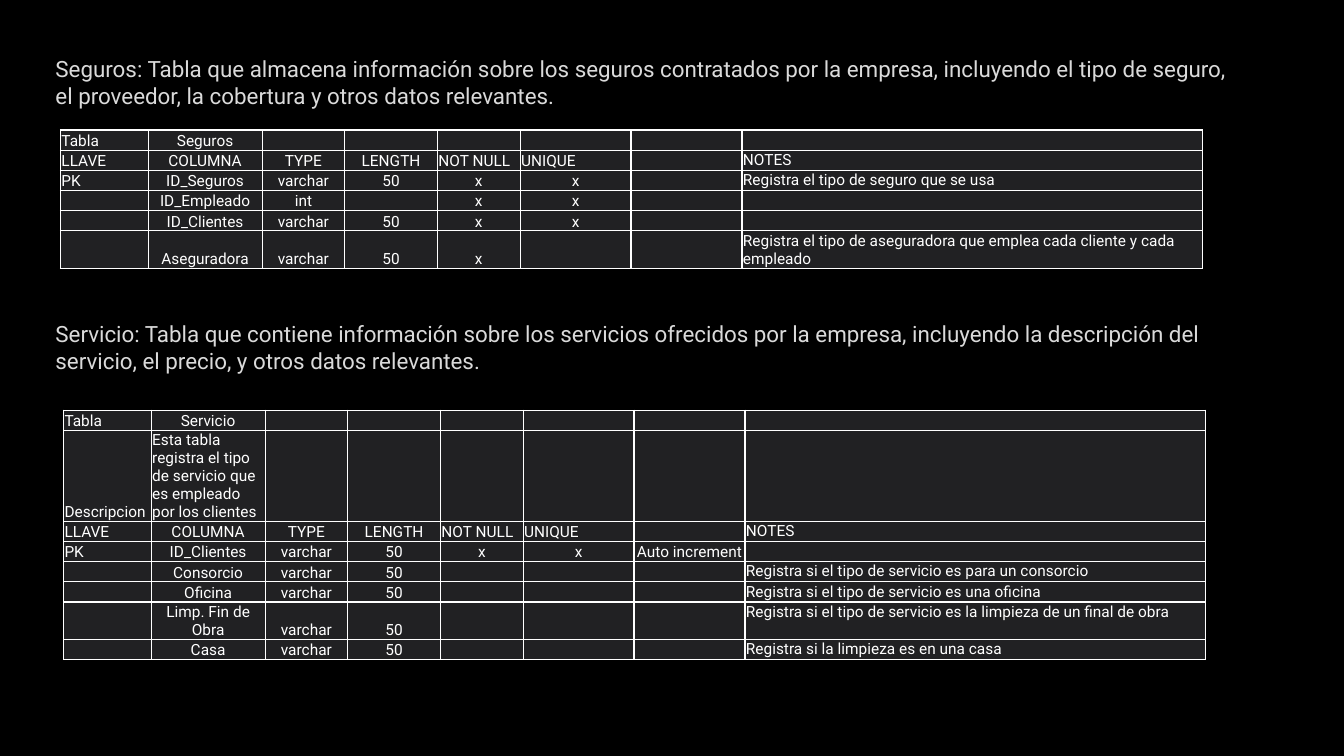
"""Build the slide describing the Seguros and Servicio database tables."""
import dataclasses

import lxml.etree
import pptx
import pptx.dml.color
import pptx.enum.text
import pptx.oxml.ns
import pptx.util

Inches = pptx.util.Inches
Pt = pptx.util.Pt
ALIGN = pptx.enum.text.PP_ALIGN
ANCHOR = pptx.enum.text.MSO_ANCHOR

COLORS = {"background": "000000", "cell": "212123", "grid": "FFFFFF",
          "data": "FFFFFF", "description": "DADADA"}
FONT = "Roboto"
DATA_SIZE = 11
COLUMN_WIDTHS = [0.87, 1.13, 0.82, 0.92, 0.82, 1.1, 1.1, 4.57]
KEY_COLUMN, NOTES_COLUMN = 0, 7
HEADINGS = ["LLAVE", "COLUMNA", "TYPE", "LENGTH", "NOT NULL", "UNIQUE", "", "NOTES"]
LEFT_HEADINGS = ("NOT NULL", "UNIQUE")
SERVICE_PURPOSE = "Esta tabla registra el tipo de servicio que es empleado por los clientes"


@dataclasses.dataclass
class Entity:
    """A database table with its description and its place on the slide."""
    description: str
    space_before: float
    left: float
    top: float
    row_heights: list[float]
    rows: list[list[str]]


ENTITIES = [
    Entity(
        "Seguros: Tabla que almacena información sobre los seguros contratados por la "
        "empresa, incluyendo el tipo de seguro, el proveedor, la cobertura y otros datos "
        "relevantes.",
        2, 0.6, 1.29, [0.2] * 5 + [0.37],
        [
            ["Tabla", "Seguros"],
            HEADINGS,
            ["PK", "ID_Seguros", "varchar", "50", "x", "x", "",
             "Registra el tipo de seguro que se usa"],
            ["", "ID_Empleado", "int", "", "x", "x"],
            ["", "ID_Clientes", "varchar", "50", "x", "x"],
            ["", "Aseguradora", "varchar", "50", "x", "", "",
             "Registra el tipo de aseguradora que emplea cada cliente y cada empleado"],
        ]),
    Entity(
        "Servicio: Tabla que contiene información sobre los servicios ofrecidos por la "
        "empresa, incluyendo la descripción del servicio, el precio, y otros datos "
        "relevantes.",
        151, 0.63, 4.07, [0.2, 0.9] + [0.2] * 4 + [0.37, 0.2],
        [
            ["Tabla", "Servicio"],
            ["Descripcion", SERVICE_PURPOSE],
            HEADINGS,
            ["PK", "ID_Clientes", "varchar", "50", "x", "x", "Auto increment"],
            ["", "Consorcio", "varchar", "50", "", "", "",
             "Registra si el tipo de servicio es para un consorcio"],
            ["", "Oficina", "varchar", "50", "", "", "",
             "Registra si el tipo de servicio es una oficina"],
            ["", "Limp. Fin de Obra", "varchar", "50", "", "", "",
             "Registra si el tipo de servicio es la limpieza de un final de obra"],
            ["", "Casa", "varchar", "50", "", "", "",
             "Registra si la limpieza es en una casa"],
        ]),
]


def color(name: str) -> pptx.dml.color.RGBColor:
    """Return the named colour."""
    return pptx.dml.color.RGBColor.from_string(COLORS[name])


def add_run(paragraph, text: str, size: float, color_name: str) -> None:
    """Append a formatted run to the paragraph."""
    run = paragraph.add_run()
    run.text = text
    run.font.name = FONT
    run.font.size = Pt(size)
    run.font.color.rgb = color(color_name)


def add_borders(cell) -> None:
    """Draw the grid line on all four sides of the cell."""
    properties = cell._tc.get_or_add_tcPr()
    qn = pptx.oxml.ns.qn
    for position, side in enumerate(("a:lnL", "a:lnR", "a:lnT", "a:lnB")):
        line = lxml.etree.Element(qn(side), w=str(Pt(1)))
        fill = lxml.etree.SubElement(line, qn("a:solidFill"))
        lxml.etree.SubElement(fill, qn("a:srgbClr"), val=COLORS["grid"])
        properties.insert(position, line)


def fill_cell(cell, text: str, column: int) -> None:
    """Write and format one table cell."""
    cell.margin_left = cell.margin_right = cell.margin_top = Inches(0.01)
    cell.margin_bottom = 0
    cell.fill.solid()
    cell.fill.fore_color.rgb = color("cell")
    add_borders(cell)
    is_prose = column == NOTES_COLUMN or text == SERVICE_PURPOSE
    cell.vertical_anchor = ANCHOR.TOP if is_prose else ANCHOR.BOTTOM
    paragraph = cell.text_frame.paragraphs[0]
    is_left = is_prose or column == KEY_COLUMN or text in LEFT_HEADINGS
    paragraph.alignment = ALIGN.LEFT if is_left else ALIGN.CENTER
    if text:
        add_run(paragraph, text, DATA_SIZE, "data")
    else:
        paragraph._p.get_or_add_endParaRPr().set("sz", str(DATA_SIZE * 100))


def add_entity_table(slide, entity: Entity) -> None:
    """Add the grid of fields of one entity."""
    table = slide.shapes.add_table(
        len(entity.rows), len(COLUMN_WIDTHS), Inches(entity.left), Inches(entity.top),
        Inches(sum(COLUMN_WIDTHS)), Inches(sum(entity.row_heights))).table
    table.first_row = table.horz_banding = False
    for column, width in zip(table.columns, COLUMN_WIDTHS):
        column.width = Inches(width)
    for row_index, (height, values) in enumerate(zip(entity.row_heights, entity.rows)):
        table.rows[row_index].height = Inches(height)
        padded = values + [""] * (len(COLUMN_WIDTHS) - len(values))
        for column_index, text in enumerate(padded):
            fill_cell(table.cell(row_index, column_index), text, column_index)


def add_descriptions(slide) -> None:
    """Write the entity descriptions in the body placeholder."""
    body = slide.placeholders[1]
    body.left, body.top = Inches(0.41), Inches(0.5)
    body.width, body.height = Inches(12.03), Inches(6.42)
    frame = body.text_frame
    frame.word_wrap = True
    frame.auto_size = pptx.enum.text.MSO_AUTO_SIZE.NONE
    frame.vertical_anchor = ANCHOR.TOP
    frame.margin_right = Inches(0.15)
    for index, entity in enumerate(ENTITIES):
        paragraph = frame.add_paragraph() if index else frame.paragraphs[0]
        paragraph.alignment = ALIGN.LEFT
        paragraph.space_before = Pt(entity.space_before)
        paragraph.space_after = Pt(0)
        properties = paragraph._p.get_or_add_pPr()
        properties.set("marL", str(Inches(0.04)))
        properties.set("indent", "0")
        lxml.etree.SubElement(properties, pptx.oxml.ns.qn("a:buNone"))
        add_run(paragraph, entity.description, 16, "description")


def main() -> None:
    """Build and save the presentation."""
    presentation = pptx.Presentation()
    presentation.slide_width = Inches(13.33)
    presentation.slide_height = Inches(7.5)
    slide = presentation.slides.add_slide(presentation.slide_layouts[1])
    slide.background.fill.solid()
    slide.background.fill.fore_color.rgb = color("background")
    title = slide.shapes.title.element
    title.getparent().remove(title)
    add_descriptions(slide)
    for entity in ENTITIES:
        add_entity_table(slide, entity)
    presentation.save("out.pptx")


if __name__ == "__main__":
    main()
